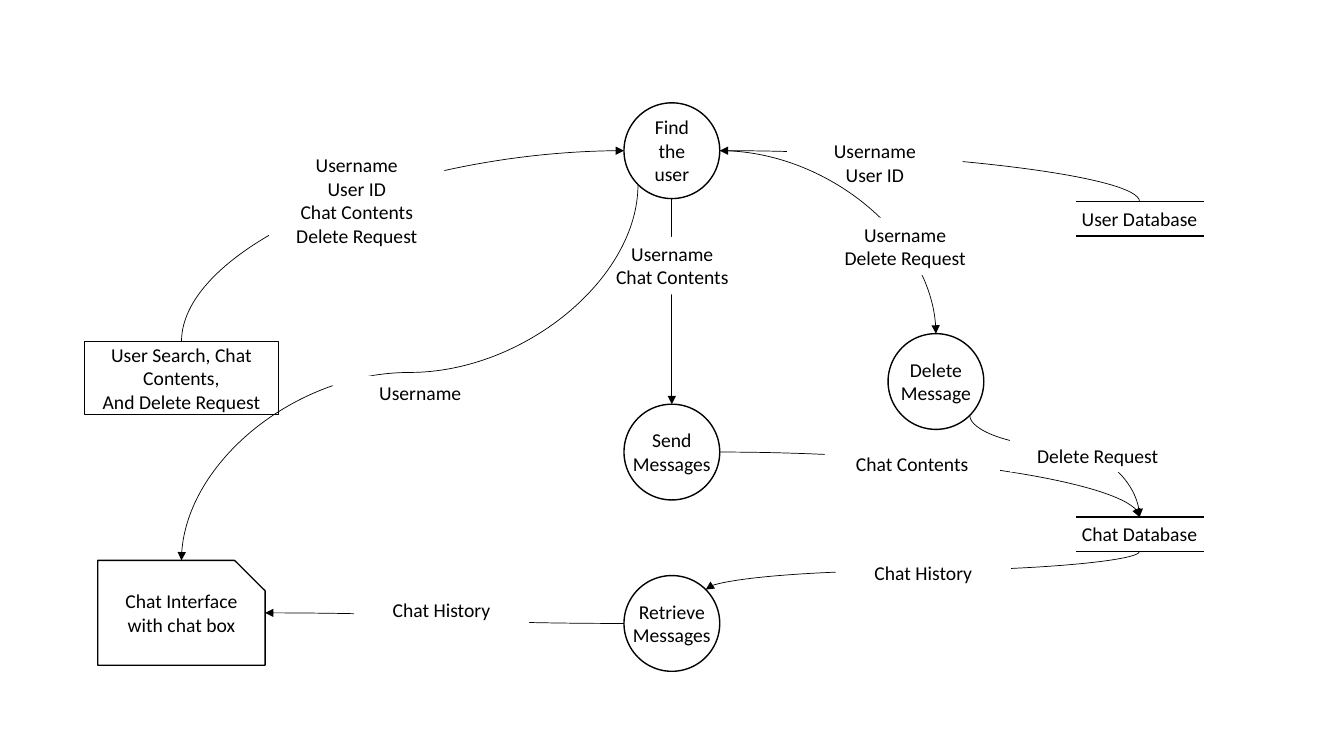
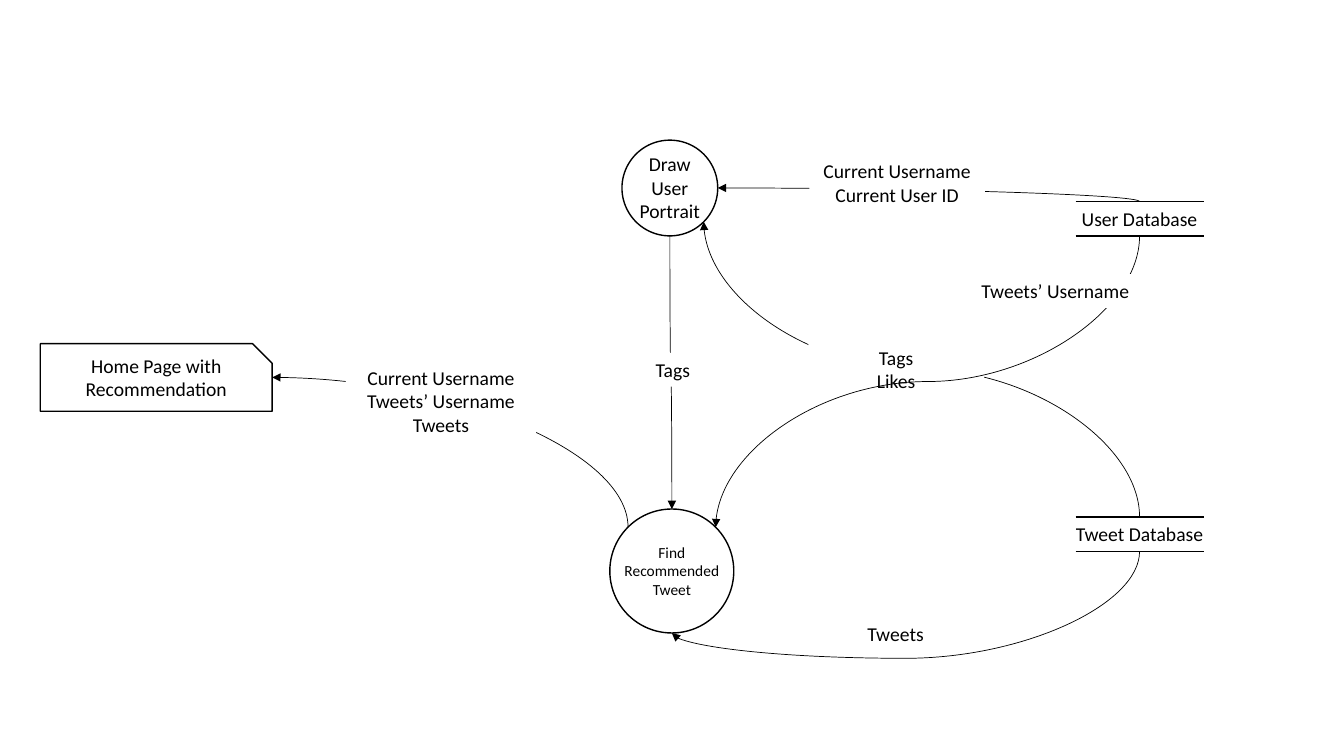
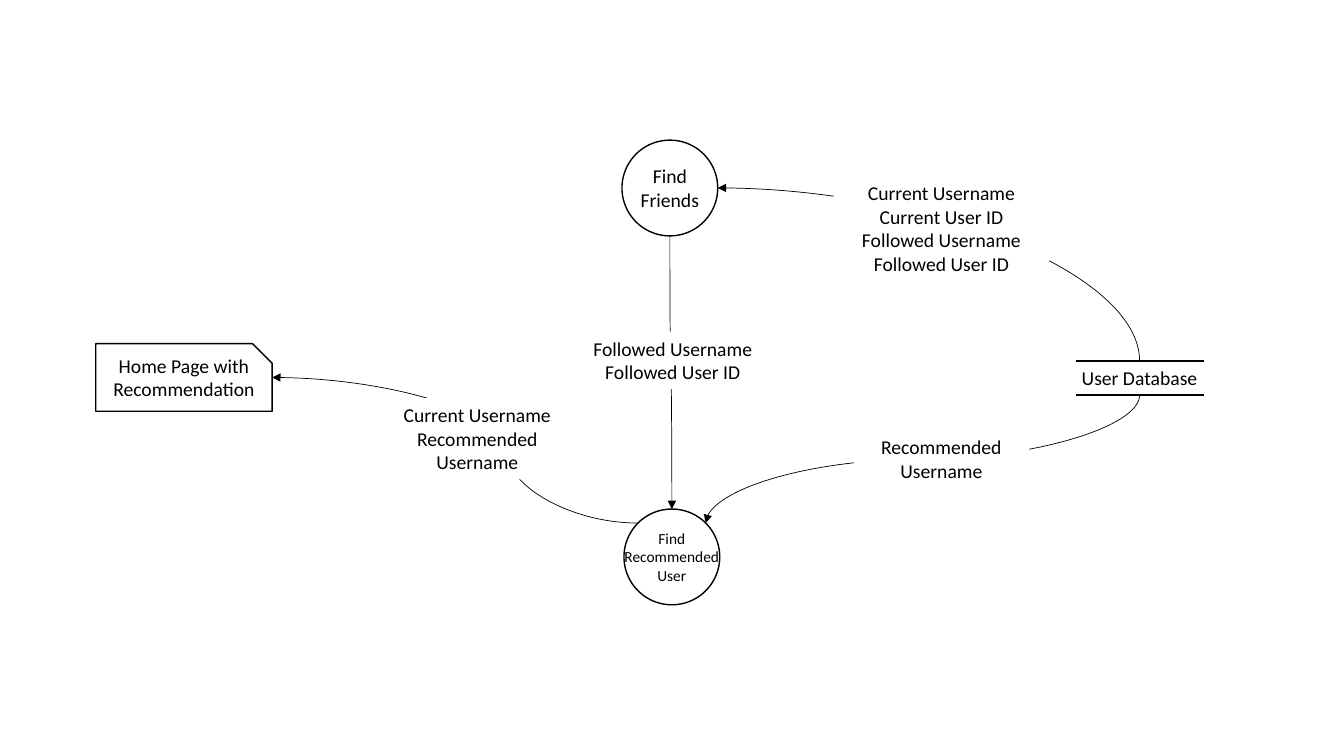
from math import sqrt

from lxml.etree import SubElement
from pptx import Presentation
from pptx.dml.color import RGBColor
from pptx.enum.shapes import MSO_CONNECTOR, MSO_SHAPE
from pptx.enum.text import MSO_ANCHOR, MSO_AUTO_SIZE, PP_ALIGN
from pptx.oxml.ns import qn
from pptx.util import Inches, Pt

INK, PAPER, FONT = "000000", "FFFFFF", "Calibri"
COLUMNS, ROWS, CELL = 133.33, 75, Inches(0.1)
STORE_LEFT, STORE_WIDTH, STORE_HEIGHT, STORE_TEXT_WIDTH = 106.7, 12.7, 3.4, 21.9
LABEL_WIDTH, CIRCLE = 17.4, 9.5

CHAT = {
    "nodes": {
        "input": ("entity", "User Search, Chat Contents,\nAnd Delete Request", (8.4, 33.9, 19.2, 7.2)),
        "users": ("store", "User Database", 20),
        "chats": ("store", "Chat Database", 51.3),
        "find": ("process", "Find the user", (61.9, 10.2, CIRCLE), 7.5, 3, 14),
        "send": ("process", "Send Messages", (61.9, 40.1, CIRCLE), 10.7, 2, 14),
        "retrieve": ("process", "Retrieve Messages", (61.9, 57.1, CIRCLE), 10.7, 2, 14),
        "delete": ("process", "Delete Message", (88.1, 33.1, CIRCLE), 10.7, 2, 14),
        "screen": ("output", "Chat Interface with chat box", (9.7, 55.6, 16.6, 10.4)),
    },
    "order": [
        "input", "users", "chats", "find",
        ("input", "n", "find", "w"),
        ("Username\nUser ID\nChat Contents\nDelete Request", 26.7, 14.7),
        ("users", "n", "find", "e"),
        ("Username\nUser ID", 78.1, 13.3),
        "send",
        ("find", "s", "send", "n"),
        ("send", "e", "chats", "n"),
        ("Chat Contents", 81.8, 44.3),
        ("chats", "s", "retrieve", "ne"),
        ("Chat History", 82.9, 55.2),
        "screen", "retrieve",
        ("Username\nChat Contents", 58, 23.5),
        ("retrieve", "w", "screen", "e"),
        ("Chat History", 35.1, 58.8),
        ("find", "sw", "screen", "n"),
        ("Username", 33, 37.3),
        "delete",
        ("find", "e", "delete", "n"),
        ("Username\nDelete Request", 81.1, 21.6),
        ("delete", "se", "chats", "n", 0.3),
        ("Delete Request", 100.2, 43.5),
    ],
}

TWEETS = {
    "nodes": {
        "tweets": ("store", "Tweet Database", 51.3),
        "home": ("output", "Home Page with Recommendation", (4, 34.1, 23, 6.7)),
        "users": ("store", "User Database", 20),
        "portrait": ("process", "Draw User Portrait", (61.7, 13.9, CIRCLE), 8.5, 3, 14),
        "find": ("process", "Find Recommended Tweet", (60.5, 50.5, 12.3), 12.5, 3, 11),
    },
    "order": [
        "tweets", "home", "users", "portrait",
        ("users", "n", "portrait", "e"),
        ("Current Username\nCurrent User ID", 80.3, 15.3),
        ("tweets", "n", "portrait", "se"),
        ("Tags\nLikes", 80.2, 33.8),
        "find",
        ("portrait", "s", "find", "n"),
        ("Tags", 63.5, 35, 6.5),
        ("tweets", "s", "find", "s", 1.31),
        ("Tweets", 81.4, 61.2, 14.9),
        ("find", "nw", "home", "e"),
        ("Current Username\nTweets’ Username\nTweets", 34.3, 35.8, 18.9),
        ("users", "s", "find", "ne"),
        ("Tweets’ Username", 96, 27.2),
    ],
}

FRIENDS = {
    "nodes": {
        "home": ("output", "Home Page with Recommendation", (9.5, 34.1, 17.5, 6.7)),
        "users": ("store", "User Database", 35.8),
        "friends": ("process", "Find Friends", (61.7, 13.9, CIRCLE), 8.5, 2, 14),
        "find": ("process", "Find Recommended User", (61.9, 50.5, CIRCLE), 12.7, 3, 11),
    },
    "order": [
        "home", "users", "friends", "find",
        ("users", "n", "friends", "e"),
        ("Current Username\nCurrent User ID\nFollowed Username\nFollowed User ID", 82.7, 17.5, 21.4),
        ("users", "s", "find", "ne"),
        ("Recommended Username", 84.7, 42.7, LABEL_WIDTH, 2),
        ("friends", "s", "find", "n"),
        ("Followed Username\nFollowed User ID", 55.5, 32.9, 22.5),
        ("find", "wn", "home", "e", 0.36),
        ("Current Username\nRecommended Username", 37.9, 39.5, 18.9, 3),
    ],
}


def color(code):
    """Turn a hex string into a colour."""
    return RGBColor.from_string(code)


def cells(*lengths):
    """Turn grid lengths into slide units."""
    return [round(length * CELL) for length in lengths]


def text_height(rows, size):
    """Height in cells of a text block with its margins."""
    return 1 + rows * size * 0.168


def write(shape, text, size=14):
    """Fill a shape with centred text."""
    frame = shape.text_frame
    frame.text = text
    frame.word_wrap = True
    for para in frame.paragraphs:
        para.alignment = PP_ALIGN.CENTER
        for span in para.runs:
            span.font.name, span.font.size = FONT, Pt(size)
            span.font.color.rgb = color(INK)
    return frame


def add_outline(page, kind, bounds, outlined=True):
    """Add a white preset shape, with a black outline if asked."""
    shape = page.shapes.add_shape(kind, *cells(*bounds))
    shape.shadow.inherit = False
    shape.fill.solid()
    shape.fill.fore_color.rgb = color(PAPER)
    if outlined:
        shape.line.color.rgb = color(INK)
        shape.line.width = Pt(1)
    else:
        shape.line.fill.background()
    return shape


def add_caption(page, text, bounds, width, rows, size=14):
    """Add a text box centred on the given bounds."""
    left, top, span_width, span_height = bounds
    height = text_height(rows, size)
    box = page.shapes.add_textbox(*cells(
        left + (span_width - width) / 2, top + (span_height - height) / 2, width, height))
    write(box, text, size).auto_size = MSO_AUTO_SIZE.SHAPE_TO_FIT_TEXT


def add_label(page, text, left, top, width=LABEL_WIDTH, rows=None):
    """Add a white label that interrupts a flow."""
    rows = rows or text.count("\n") + 1
    shape = add_outline(page, MSO_SHAPE.RECTANGLE, (left, top, width, text_height(rows, 14)), False)
    frame = write(shape, text)
    frame.vertical_anchor = MSO_ANCHOR.TOP
    frame.auto_size = MSO_AUTO_SIZE.SHAPE_TO_FIT_TEXT


def add_line(page, kind, start, end, weight):
    """Add a black connector without a shadow."""
    line = page.shapes.add_connector(kind, *cells(*start, *end))
    line.line.color.rgb = color(INK)
    line.line.width = Pt(weight)
    SubElement(line.element.spPr, qn("a:effectLst"))
    return line


def node_bounds(node):
    """Left, top, width and height of a node in cells."""
    kind, place = node[0], node[2]
    if kind == "store":
        return STORE_LEFT, place, STORE_WIDTH, STORE_HEIGHT
    if kind == "process":
        return (*place, place[2])
    return place


def add_node(page, node):
    """Draw an entity, a process, a data store or an output."""
    kind, text = node[:2]
    bounds = left, top, width, height = node_bounds(node)
    if kind == "entity":
        shape = add_outline(page, MSO_SHAPE.RECTANGLE, bounds)
        write(shape, text).vertical_anchor = MSO_ANCHOR.MIDDLE
    elif kind == "store":
        for edge in (top, top + height):
            add_line(page, MSO_CONNECTOR.STRAIGHT, (left, edge), (left + width, edge), 1)
        add_caption(page, text, bounds, STORE_TEXT_WIDTH, 1)
    elif kind == "process":
        add_outline(page, MSO_SHAPE.OVAL, bounds)
        add_caption(page, text, bounds, *node[3:])
    else:
        shape = add_outline(page, MSO_SHAPE.SNIP_1_RECTANGLE, bounds)
        shape.adjustments[0] = 0.29
        add_caption(page, text, bounds, width - 0.8, 2)


def port(bounds, side):
    """Point on a node named by compass letters."""
    left, top, width, height = bounds
    reach = sqrt(0.5) if len(side) == 2 else 1
    across = ("e" in side) - ("w" in side)
    down = ("s" in side) - ("n" in side)
    return left + width / 2 * (1 + reach * across), top + height / 2 * (1 + reach * down)


def add_flow(page, nodes, source, exit_side, target, entry_side, bend=0.5):
    """Add a curved arrow; the first letter of a side gives its direction."""
    start = port(node_bounds(nodes[source]), exit_side)
    end = port(node_bounds(nodes[target]), entry_side)
    across, down = end[0] - start[0], end[1] - start[1]
    width, height = abs(across), abs(down)
    upright = exit_side[0] in "ns"
    if upright:
        width, height = height, width
        turn = 90 if across * down <= 0 else 270
        flips = across > 0, down < 0
    else:
        turn = 180 if across < 0 else 0
        flips = False, (across < 0) != (down < 0)
    left = (start[0] + end[0] - width) / 2
    top = (start[1] + end[1] - height) / 2
    line = add_line(page, MSO_CONNECTOR.CURVE, (left, top), (left + width, top + height), 0.5)
    frame = line.element.spPr.find(qn("a:xfrm"))
    frame.set("rot", str(turn * 60000))
    for name, flipped in zip(("flipH", "flipV"), flips):
        frame.set(name, str(int(flipped)))
    geometry = line.element.spPr.find(qn("a:prstGeom"))
    if upright == (entry_side[0] in "ns"):
        guides = geometry.find(qn("a:avLst"))
        SubElement(guides, qn("a:gd"), name="adj1", fmla=f"val {round(bend * 100000)}")
    else:
        geometry.set("prst", "curvedConnector2")
    SubElement(line.line._get_or_add_ln(), qn("a:tailEnd"), type="triangle")


def add_diagram(deck, diagram):
    """Draw one data flow diagram from back to front."""
    page = deck.slides.add_slide(deck.slide_layouts[6])
    nodes = diagram["nodes"]
    for item in diagram["order"]:
        if isinstance(item, str):
            add_node(page, nodes[item])
        elif item[0] in nodes:
            add_flow(page, nodes, *item)
        else:
            add_label(page, *item)


deck = Presentation()
deck.slide_width, deck.slide_height = cells(COLUMNS, ROWS)
for diagram in (CHAT, TWEETS, FRIENDS):
    add_diagram(deck, diagram)
deck.save("out.pptx")
